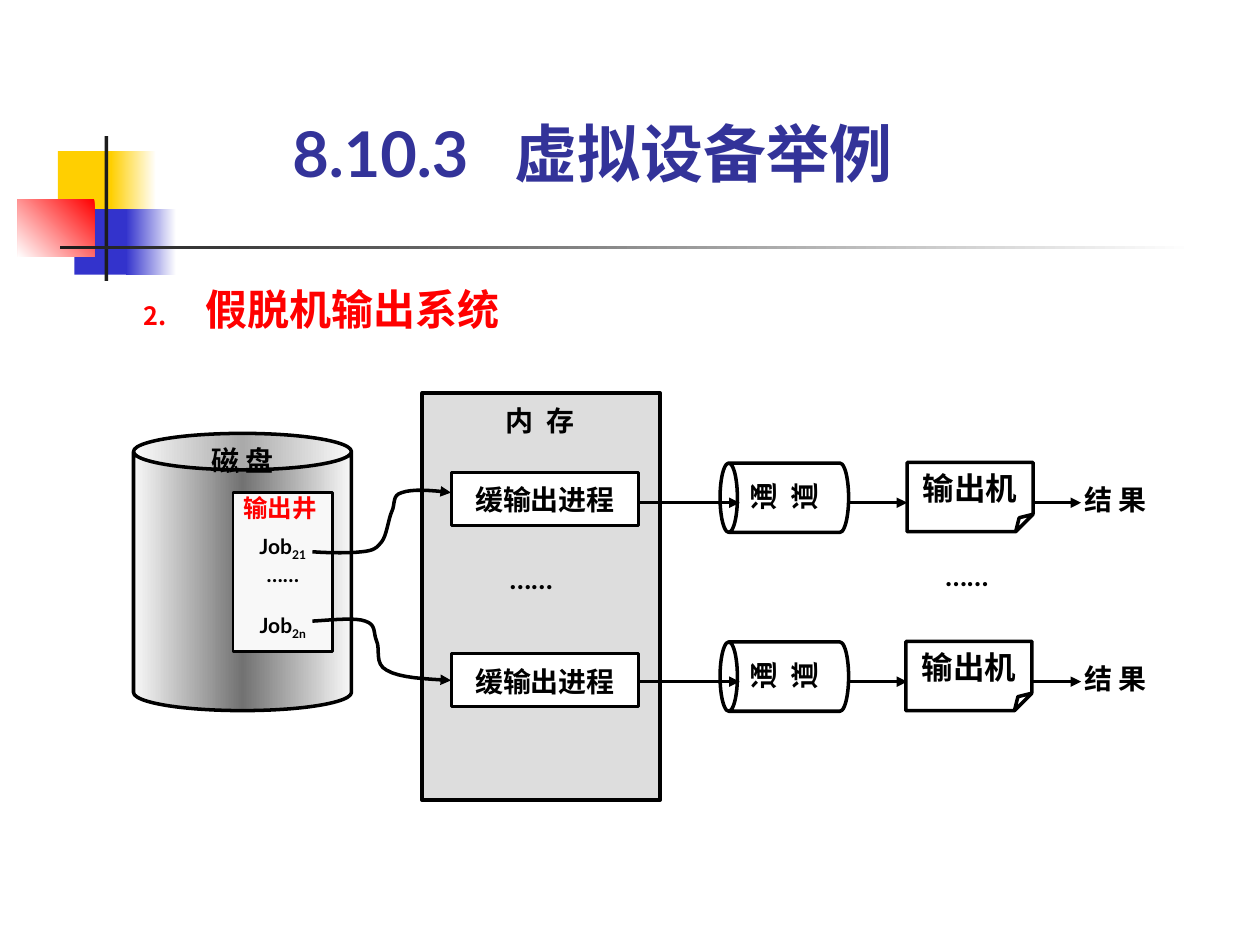
from lxml.etree import SubElement
from pptx import Presentation
from pptx.dml.color import RGBColor
from pptx.enum.shapes import MSO_CONNECTOR, MSO_SHAPE
from pptx.enum.text import MSO_ANCHOR, PP_ALIGN
from pptx.oxml.ns import qn
from pptx.util import Inches, Pt

FONT = "Lato"
BLACK, WHITE, RED, BLUE, YELLOW = "000000", "FFFFFF", "FF0000", "3333CC", "FFCF01"
DARK, PALE = "1C1C1C", "F8F8F8"


def color(value):
    return RGBColor.from_string(value)


def write_text(shape, *paragraphs, size=16, ink=BLACK, align=PP_ALIGN.CENTER,
               anchor=MSO_ANCHOR.TOP, insets=(0, 0, 0, 0), wrap=True, gaps=()):
    """Each paragraph is a string, or a (text, subscript) pair."""
    frame = shape.text_frame
    frame.word_wrap = wrap
    frame.vertical_anchor = anchor
    (frame.margin_left, frame.margin_top,
     frame.margin_right, frame.margin_bottom) = map(Inches, insets)
    for index, content in enumerate(paragraphs):
        paragraph = frame.paragraphs[0] if index == 0 else frame.add_paragraph()
        paragraph.alignment = align
        if index < len(gaps):
            paragraph.space_before = Pt(gaps[index])
        pieces = (content,) if isinstance(content, str) else content
        for position, piece in enumerate(pieces):
            run = paragraph.add_run()
            run.text = piece
            run.font.name, run.font.size, run.font.bold = FONT, Pt(size), True
            run.font.color.rgb = color(ink)
            if position == 1:
                run.font._element.set("baseline", "-25000")
    return frame


def add_label(slide, box, text, **style):
    return write_text(slide.shapes.add_textbox(*map(Inches, box)), text, **style)


def fill_gradient(shape, colors, clockwise):
    shape.fill.gradient()
    shape.fill.gradient_angle = 360 - clockwise
    stops = shape._element.spPr.find(qn("a:gradFill")).find(qn("a:gsLst"))
    for stop in list(stops):
        stops.remove(stop)
    for index, value in enumerate(colors):
        position = index * 100000 // (len(colors) - 1)
        stop = SubElement(stops, qn("a:gs"), pos=str(position))
        SubElement(stop, qn("a:srgbClr"), val=value)


def set_line(shape, width, arrow=False):
    shape.line.color.rgb = color(BLACK)
    shape.line.width = Pt(width)
    if arrow:
        SubElement(shape.line._get_or_add_ln(), qn("a:tailEnd"), type="triangle")


def set_adjustment(shape, value):
    # Written as XML because the folded corner exposes no adjustments
    guides = shape._element.spPr.find(qn("a:prstGeom")).find(qn("a:avLst"))
    for guide in list(guides):
        guides.remove(guide)
    SubElement(guides, qn("a:gd"), name="adj", fmla=f"val {round(value * 100000)}")


def add_block(slide, kind, box, fill=None, angle=180, line=None, adjust=None):
    shape = slide.shapes.add_shape(kind, *map(Inches, box))
    shape.shadow.inherit = False
    if fill is None:
        shape.fill.background()
    elif isinstance(fill, str):
        shape.fill.solid()
        shape.fill.fore_color.rgb = color(fill)
    else:
        fill_gradient(shape, fill, angle)
    if line:
        set_line(shape, line)
    else:
        shape.line.fill.background()
    if adjust is not None:
        set_adjustment(shape, adjust)
    return shape


def add_arrow(slide, start, end, y):
    arrow = slide.shapes.add_connector(
        MSO_CONNECTOR.STRAIGHT, *map(Inches, (start, y, end, y)))
    set_line(arrow, 2, arrow=True)
    SubElement(arrow._element.spPr, qn("a:effectLst"))


def add_curve(slide, start, *segments, steps=8):
    """Arrow along cubic segments, each (control, control, end)."""
    points, begin = [], start
    for first, second, end in segments:
        for step in range(1, steps + 1):
            t = step / steps
            weights = ((1 - t) ** 3, 3 * t * (1 - t) ** 2, 3 * t * t * (1 - t), t ** 3)
            corners = (begin, first, second, end)
            points.append(tuple(
                Inches(sum(w * corner[axis] for w, corner in zip(weights, corners)))
                for axis in (0, 1)))
        begin = end
    builder = slide.shapes.build_freeform(*map(Inches, start))
    builder.add_line_segments(points, close=False)
    curve = builder.convert_to_shape()
    curve.shadow.inherit = False
    curve.fill.background()
    set_line(curve, 2, arrow=True)


def add_ornament(slide, left, top):
    for x, y, width, height, fill, angle in (
        (0.32, 0.12, 0.48, 0.52, YELLOW, 0),
        (0.74, 0.12, 0.36, 0.52, (WHITE, YELLOW), 180),
        (0.45, 0.58, 0.46, 0.52, BLUE, 0),
        (0.86, 0.58, 0.40, 0.52, (WHITE, BLUE), 180),
        (0, 0.50, 0.61, 0.46, (RED, WHITE), 135),
        (0.69, 0, 0.03, 1.15, DARK, 0),
        (0.34, 0.87, 9, 0.03, (WHITE, DARK), 180),
    ):
        add_block(slide, MSO_SHAPE.RECTANGLE, (left + x, top + y, width, height),
                  fill, angle)


def add_headings(slide, title_box, topic_box):
    add_label(slide, title_box, "8.10.3   虚拟设备举例", size=36, ink="333399",
              align=PP_ALIGN.LEFT, anchor=MSO_ANCHOR.BOTTOM)
    frame = add_label(slide, topic_box, "假脱机输出系统", size=24, ink=RED,
                      align=PP_ALIGN.LEFT)
    # Red number at 60 % of the text size, with a hanging indent
    properties = frame.paragraphs[0]._p.get_or_add_pPr()
    properties.set("marL", str(Inches(0.49)))
    properties.set("indent", str(-Inches(0.49)))
    bullet_color = SubElement(properties, qn("a:buClr"))
    SubElement(bullet_color, qn("a:srgbClr"), val=RED)
    SubElement(properties, qn("a:buSzPct"), val="60000")
    SubElement(properties, qn("a:buFont"), typeface=FONT)
    SubElement(properties, qn("a:buAutoNum"), type="arabicPeriod", startAt="2")


def add_disk(slide, left, top, width, height):
    add_block(slide, MSO_SHAPE.CAN, (left, top, width, height),
              (PALE, "727272", PALE), line=2, adjust=0.167)
    add_label(slide, (left + 0.55, top + 0.08, 0.63, 0.27), "磁 盘")
    # Output well with its queue of jobs
    well = add_block(slide, MSO_SHAPE.RECTANGLE,
                     (left + 0.79, top + 0.47, 0.79, 1.26), PALE, line=1.5)
    write_text(well, ("Job", "21"), "……", ("Job", "2n"), size=12, wrap=False,
               anchor=MSO_ANCHOR.MIDDLE, insets=(0.1, 0.29, 0.1, 0.05),
               gaps=(0, 0, 14.4))
    add_label(slide, (left + 0.87, top + 0.47, 0.63, 0.23), "输出井", size=14,
              ink=RED, align=PP_ALIGN.LEFT)


def add_memory(slide, left, top, width, height):
    add_block(slide, MSO_SHAPE.RECTANGLE, (left, top, width, height), "DDDDDD", line=2)
    add_label(slide, (left + 0.62, top + 0.08, 0.63, 0.27), "内  存")
    add_label(slide, (left + 0.55, top + 1.34, 0.63, 0.27), "……")
    for offset in (0.63, 2.07):
        process = add_block(slide, MSO_SHAPE.RECTANGLE,
                            (left + 0.23, top + offset, 1.49, 0.42), WHITE, line=1.75)
        write_text(process, "缓输出进程", insets=(0, 0.08, 0, 0.08))


def add_output_lane(slide, left, top, printer_left):
    # Channel: a can lying on its side
    channel = add_block(slide, MSO_SHAPE.CAN, (left + 0.87, top, 0.55, 1.02),
                        line=2, adjust=0.25)
    channel.rotation = 270
    frame = write_text(channel, "通  道", anchor=MSO_ANCHOR.MIDDLE, wrap=False,
                       insets=(0.05, 0.1, 0.05, 0.1))
    frame._txBody.bodyPr.set("vert", "eaVert")
    # Printer and result
    printer = add_block(slide, MSO_SHAPE.FOLDED_CORNER,
                        (printer_left, top + 0.23, 1, 0.55), line=2, adjust=0.252)
    write_text(printer, "输出机", size=18, anchor=MSO_ANCHOR.MIDDLE, wrap=False,
               insets=(0.1, 0.05, 0.1, 0.05))
    add_label(slide, (left + 3.46, top + 0.39, 0.63, 0.27), "结 果")
    for start, end in ((0, 0.79), (1.65, 2.12), (3.11, 3.5)):
        add_arrow(slide, left + start, left + end, top + 0.55)


def add_job_paths(slide):
    add_curve(slide, (2.48, 4.38),
              ((2.63, 4.39), (2.78, 4.39), (2.87, 4.38)),
              ((2.97, 4.37), (2.99, 4.35), (3.03, 4.3)),
              ((3.07, 4.25), (3.08, 4.13), (3.11, 4.06)),
              ((3.14, 4), (3.11, 3.93), (3.19, 3.91)),
              ((3.27, 3.88), (3.42, 3.89), (3.58, 3.91)))
    add_curve(slide, (2.48, 4.93),
              ((2.65, 4.92), (2.82, 4.9), (2.9, 4.93)),
              ((2.99, 4.96), (2.96, 5.02), (2.99, 5.09)),
              ((3.02, 5.15), (2.97, 5.27), (3.07, 5.32)),
              ((3.17, 5.38), (3.38, 5.39), (3.58, 5.4)))


def main():
    presentation = Presentation()
    presentation.slide_width, presentation.slide_height = Inches(10), Inches(7.5)
    slide = presentation.slides.add_slide(presentation.slide_layouts[6])
    add_ornament(slide, 0.14, 1.08)
    add_headings(slide, (2.32, 0.91, 5.43, 0.6), (1.14, 2.25, 3.15, 0.4))
    add_disk(slide, 1.06, 3.44, 1.73, 2.2)
    add_memory(slide, 3.35, 3.12, 1.89, 3.23)
    for top, printer_left in ((3.44, 7.2), (4.86, 7.19)):
        add_output_lane(slide, 5.08, top, printer_left)
    add_label(slide, (7.36, 4.43, 0.63, 0.27), "……")
    add_job_paths(slide)
    presentation.save("out.pptx")


if __name__ == "__main__":
    main()
